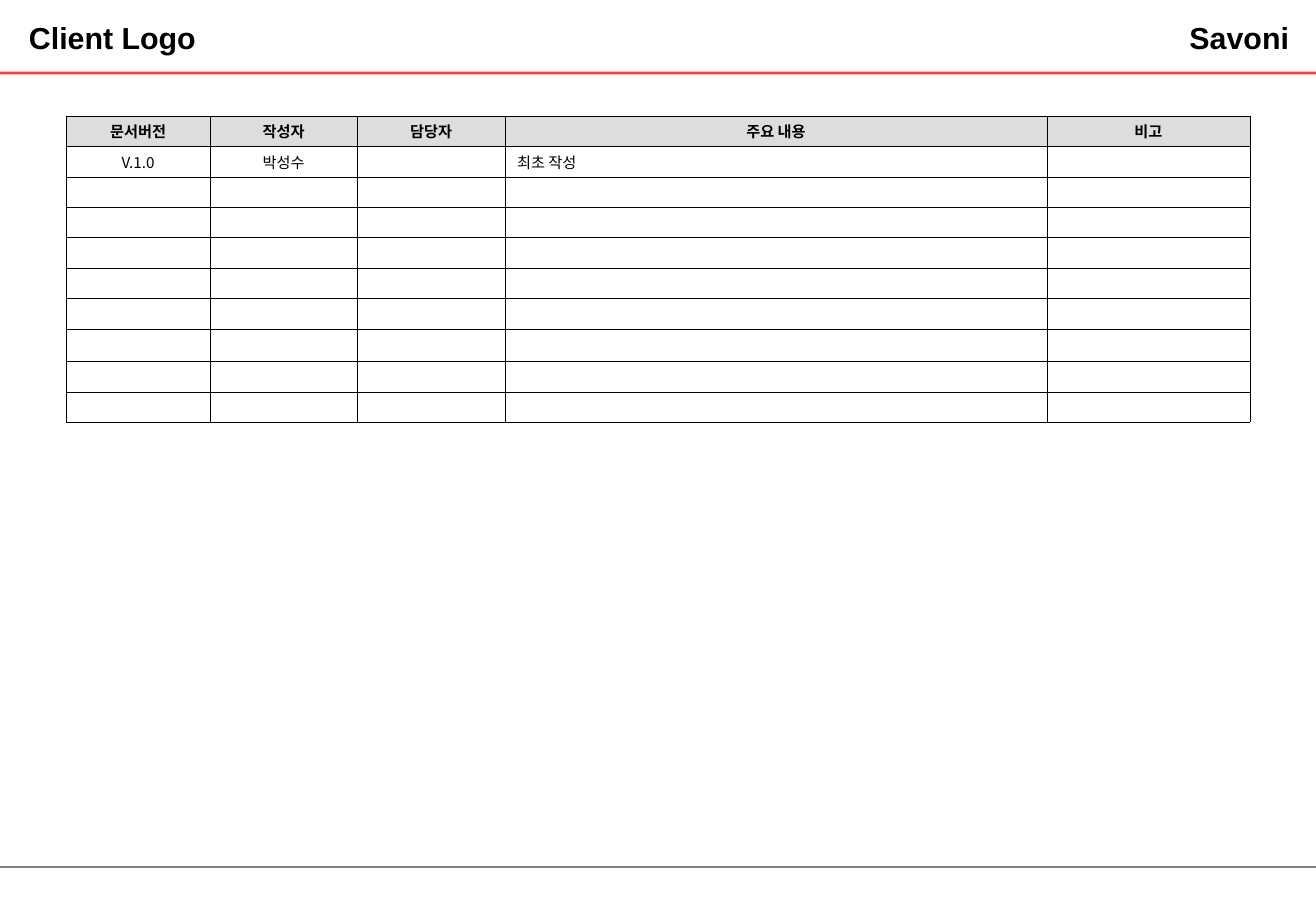
from dataclasses import dataclass

import pptx
import pptx.dml.color
import pptx.enum.shapes
import pptx.enum.text
import pptx.oxml
import pptx.oxml.ns
import pptx.util
from lxml import etree

EMU_PER_PX = 914400 / 121.5
SLIDE_WIDTH, SLIDE_HEIGHT = 1316, 911

BLACK = pptx.dml.color.RGBColor(0x00, 0x00, 0x00)
RED = pptx.dml.color.RGBColor(0xFF, 0x00, 0x00)
GRAY = pptx.dml.color.RGBColor(0x80, 0x80, 0x80)
HEADER_FILL = pptx.dml.color.RGBColor(0xDD, 0xDD, 0xDD)

HEADING_FONT = "Arial"
TABLE_FONT = "Noto Sans CJK KR"
TABLE_FONT_SIZE = pptx.util.Pt(9)

LEFT = pptx.enum.text.PP_ALIGN.LEFT
CENTER = pptx.enum.text.PP_ALIGN.CENTER
RIGHT = pptx.enum.text.PP_ALIGN.RIGHT

qn = pptx.oxml.ns.qn


@dataclass
class Rule:
    y: int
    color: pptx.dml.color.RGBColor
    weight: float
    opacity: int = 100


@dataclass
class Heading:
    text: str
    left: int
    width: int
    align: pptx.enum.text.PP_ALIGN


@dataclass
class Column:
    title: str
    width: int
    first_entry: str = ""
    align: pptx.enum.text.PP_ALIGN = CENTER


RULES = [Rule(73, RED, 1.5, 76), Rule(867, GRAY, 0.75)]
HEADINGS = [
    Heading("Client Logo", 17, 193, LEFT),
    Heading("Savoni", 1171, 130, RIGHT),
]
COLUMNS = [
    Column("문서버전", 144, "V.1.0"),
    Column("작성자", 147, "박성수"),
    Column("담당자", 148),
    Column("주요 내용", 542, "최초 작성", LEFT),
    Column("비고", 203),
]
ROW_HEIGHTS = [30, 31, 30, 30, 31, 30, 31, 32, 31, 30]


def px(length: int) -> pptx.util.Emu:
    return pptx.util.Emu(round(length * EMU_PER_PX))


def draw_rule(slide, rule: Rule) -> None:
    line = slide.shapes.add_connector(
        pptx.enum.shapes.MSO_CONNECTOR.STRAIGHT,
        0, px(rule.y), px(SLIDE_WIDTH), px(rule.y),
    )
    line.line.color.rgb = rule.color
    line.line.width = pptx.util.Pt(rule.weight)
    properties = line._element.spPr
    etree.SubElement(properties, qn("a:effectLst"))
    if rule.opacity < 100:
        color = properties.find(".//" + qn("a:srgbClr"))
        etree.SubElement(color, qn("a:alpha"), val=str(rule.opacity * 1000))


def draw_heading(slide, heading: Heading) -> None:
    box = slide.shapes.add_textbox(
        px(heading.left), px(13), px(heading.width), px(49)
    )
    box.text_frame.word_wrap = True
    paragraph = box.text_frame.paragraphs[0]
    paragraph.text = heading.text
    paragraph.alignment = heading.align
    paragraph.font.name = HEADING_FONT
    paragraph.font.size = pptx.util.Pt(18)
    paragraph.font.bold = True
    paragraph.font.color.rgb = BLACK


def add_borders(cell) -> None:
    properties = cell._tc.get_or_add_tcPr()
    for side in ("lnL", "lnR", "lnT", "lnB"):
        border = etree.SubElement(
            properties, qn(f"a:{side}"), w=str(pptx.util.Pt(0.25))
        )
        fill = etree.SubElement(border, qn("a:solidFill"))
        etree.SubElement(fill, qn("a:srgbClr"), val=str(BLACK))


def fill_cell(cell, text: str, align: pptx.enum.text.PP_ALIGN, is_header: bool) -> None:
    add_borders(cell)
    if is_header:
        cell.fill.solid()
        cell.fill.fore_color.rgb = HEADER_FILL
    else:
        cell.fill.background()
    cell.vertical_anchor = pptx.enum.text.MSO_ANCHOR.MIDDLE
    cell.margin_top = cell.margin_bottom = 0
    paragraph = cell.text_frame.paragraphs[0]
    paragraph.alignment = align
    paragraph.space_before = pptx.util.Pt(1.8)
    paragraph.font.name = TABLE_FONT
    paragraph.font.size = TABLE_FONT_SIZE
    paragraph.font.bold = is_header
    paragraph.font.color.rgb = BLACK
    defaults = paragraph._p.get_or_add_pPr().find(qn("a:defRPr"))
    etree.SubElement(defaults, qn("a:ea"), typeface=TABLE_FONT)
    if text:
        paragraph.text = text
    else:
        # The end mark's size keeps an empty row from growing.
        size = str(int(TABLE_FONT_SIZE.pt * 100))
        etree.SubElement(paragraph._p, qn("a:endParaRPr"), sz=size)


def draw_history_table(slide) -> None:
    table = slide.shapes.add_table(
        len(ROW_HEIGHTS), len(COLUMNS), px(66), px(116),
        px(sum(column.width for column in COLUMNS)), px(sum(ROW_HEIGHTS)),
    ).table
    table.first_row = table.horz_banding = False
    for row, height in zip(table.rows, ROW_HEIGHTS):
        row.height = px(height)
    for index, column in enumerate(COLUMNS):
        table.columns[index].width = px(column.width)
        fill_cell(table.cell(0, index), column.title, CENTER, True)
        for row_index in range(1, len(ROW_HEIGHTS)):
            entry = column.first_entry if row_index == 1 else ""
            fill_cell(table.cell(row_index, index), entry, column.align, False)


def main() -> None:
    presentation = pptx.Presentation()
    presentation.slide_width = px(SLIDE_WIDTH)
    presentation.slide_height = px(SLIDE_HEIGHT)
    slide = presentation.slides.add_slide(presentation.slide_layouts[6])
    for rule in RULES:
        draw_rule(slide, rule)
    for heading in HEADINGS:
        draw_heading(slide, heading)
    draw_history_table(slide)
    presentation.save("out.pptx")


if __name__ == "__main__":
    main()
